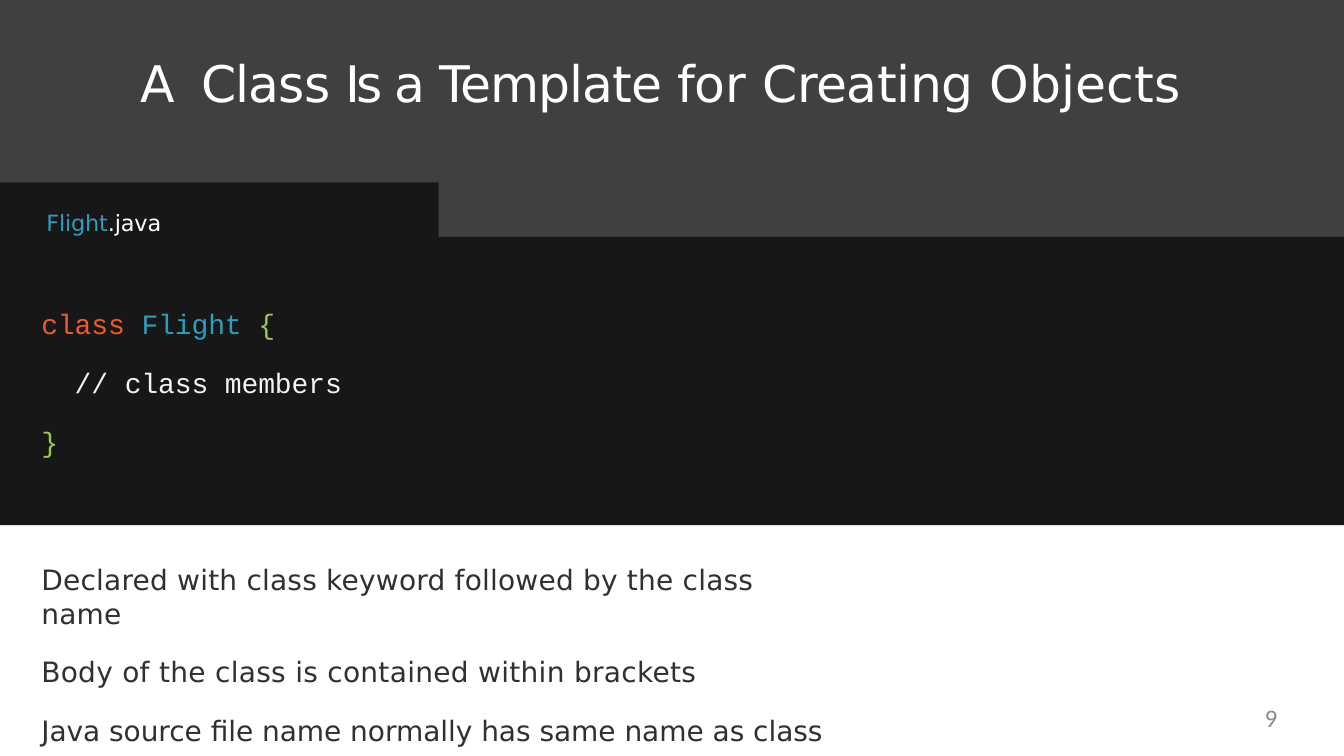
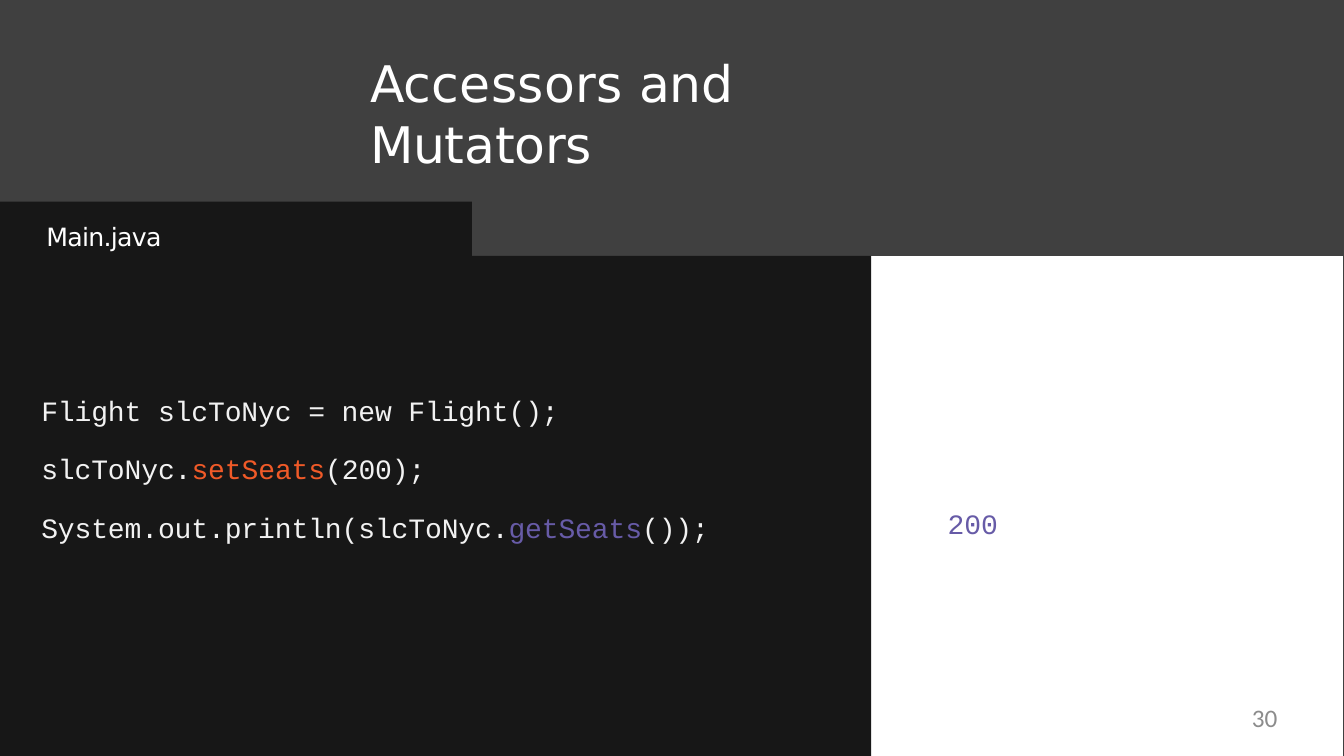
from pptx import Presentation
from pptx.dml.color import RGBColor
from pptx.enum.shapes import MSO_SHAPE as Shape
from pptx.enum.text import MSO_ANCHOR as Anchor, MSO_AUTO_SIZE as Fit, PP_ALIGN as Align
from pptx.util import Pt

PX = 9144
WIDTH, HEIGHT = 1333, 750
TITLE_ONLY = 5
TAB_HEIGHT = 54
MARGIN = 41
SANS, MONO, PLAIN = "DejaVu Sans", "Courier New", "Calibri"
WHITE, GREY, BLACK = "FFFFFF", "404040", "171717"
CODE, BODY, NUMBER = "F2F2F2", "303030", "8C8C8C"
ORANGE, BLUE, GREEN, PURPLE = "F05A28", "2A9FBC", "9BC850", "675BA7"


def color(value):
    """Turn a hex string into a colour."""
    return RGBColor.from_string(value)


def px(*lengths):
    """Turn pixel lengths into EMU."""
    return [length * PX for length in lengths]


def paint(shape, fill):
    """Give a shape a flat fill without line or shadow."""
    shape.shadow.inherit = False
    shape.fill.solid()
    shape.fill.fore_color.rgb = color(fill)
    shape.line.fill.background()


def add_block(page, left, top, width, height, fill):
    """Draw a plain rectangle."""
    block = page.shapes.add_shape(Shape.RECTANGLE, *px(left, top, width, height))
    paint(block, fill)


def write(frame, lines, font, size, gap=0, align=Align.LEFT):
    """Fill a frame with lines of (text, colour, letter spacing) runs."""
    frame.word_wrap = True
    frame.auto_size = Fit.NONE
    frame.vertical_anchor = Anchor.TOP
    frame.margin_left = frame.margin_top = frame.margin_right = frame.margin_bottom = 0
    for index, line in enumerate(lines):
        para = frame.add_paragraph() if index else frame.paragraphs[0]
        para.alignment = align
        para.space_before = Pt(gap if index else 0)
        for text, ink, spacing in line:
            span = para.add_run()
            span.text = text
            span.font.name = font
            span.font.size = Pt(size)
            span.font.color.rgb = color(ink)
            span.font._element.set("spc", str(round(spacing * 100)))


def add_text(page, left, top, width, height, lines, font, size, **options):
    """Place a text box and write its lines."""
    box = page.shapes.add_textbox(*px(left, top, width, height))
    write(box.text_frame, lines, font, size, **options)


def add_title(page, left, width, words):
    """Move the title placeholder to the front and write its words."""
    title = page.shapes.title
    title.left, title.top, title.width, title.height = px(left, 52, width, 63)
    title.element.getparent().append(title.element)
    write(title.text_frame, [[(word, WHITE, spacing) for word, spacing in words]], SANS, 36)


def add_code_panel(page, top, width, height, tab_width, label, label_size, code_top, code):
    """Draw a tabbed editor panel with its file name and code lines."""
    shoulder, bottom = top + TAB_HEIGHT, top + height
    outline = page.shapes.build_freeform(0, top, scale=PX)
    outline.add_line_segments(
        [(tab_width, top), (tab_width, shoulder), (width, shoulder), (width, bottom), (0, bottom)])
    paint(outline.convert_to_shape(), BLACK)
    add_text(page, 46, top + TAB_HEIGHT - 27 + (label_size - 16) // 2 * -7,
             tab_width - 46, 27, [label], SANS, label_size)
    lines = [[(text, ink, -0.1) for text, ink in line] for line in code]
    add_text(page, MARGIN, top + code_top, width - MARGIN, 155, lines, MONO, 20, gap=18)


def add_number(page, number):
    """Place the page number in the lower right corner."""
    add_text(page, 960, 697, 307, 38, [[(number, NUMBER, 0)]], PLAIN, 18, align=Align.RIGHT)


def build_class_page(deck):
    """Build the page on declaring a class."""
    page = deck.slides.add_slide(deck.slide_layouts[TITLE_ONLY])
    add_block(page, 0, 0, WIDTH, 235, GREY)
    add_code_panel(
        page, 181, WIDTH, 340, 435,
        [("Flight", BLUE, -0.1), (".java", WHITE, -0.1)], 16, 123,
        [[("class ", ORANGE), ("Flight ", BLUE), ("{", GREEN)],
         [("  // class members", CODE)],
         [("}", GREEN)]])
    add_title(page, 139, 1060, [
        ("A ", 3.8), ("Class ", -0.6), ("Is ", -3.1), ("a ", -1), ("Template ", -0.8),
        ("for ", 0), ("Creating ", -0.3), ("Objects", 0.1)])
    points = [
        ("Declared with class keyword followed by the class name", 0.14),
        ("Body of the class is contained within brackets", 0.2),
        ("Java source file name normally has same name as class", -0.07)]
    add_text(page, MARGIN, 558, 785, 190,
             [[(text, BODY, spacing)] for text, spacing in points], SANS, 20, gap=18)
    add_number(page, "9")


def build_accessor_page(deck):
    """Build the page on accessors and mutators."""
    page = deck.slides.add_slide(deck.slide_layouts[TITLE_ONLY])
    add_block(page, 0, 0, WIDTH, HEIGHT, GREY)
    add_block(page, 864, 254, 468, 496, WHITE)
    add_code_panel(
        page, 200, 864, 550, 468, [("Main.java", WHITE, -0.5)], 18, 190,
        [[("Flight slcToNyc = new Flight();", CODE)],
         [("slcToNyc.", CODE), ("setSeats", ORANGE), ("(200);", CODE)],
         [("System.out.println(slcToNyc.", CODE), ("getSeats", PURPLE), ("());", CODE)]])
    add_text(page, 940, 502, 60, 36, [[("200", PURPLE, -0.1)]], MONO, 20)
    add_title(page, 367, 580, [("Accessors ", 0.2), ("and ", -0.1), ("Mutators", -0.2)])
    add_number(page, "30")


def main():
    """Build and save the deck."""
    deck = Presentation()
    deck.slide_width, deck.slide_height = px(WIDTH, HEIGHT)
    build_class_page(deck)
    build_accessor_page(deck)
    deck.save("out.pptx")


if __name__ == "__main__":
    main()
